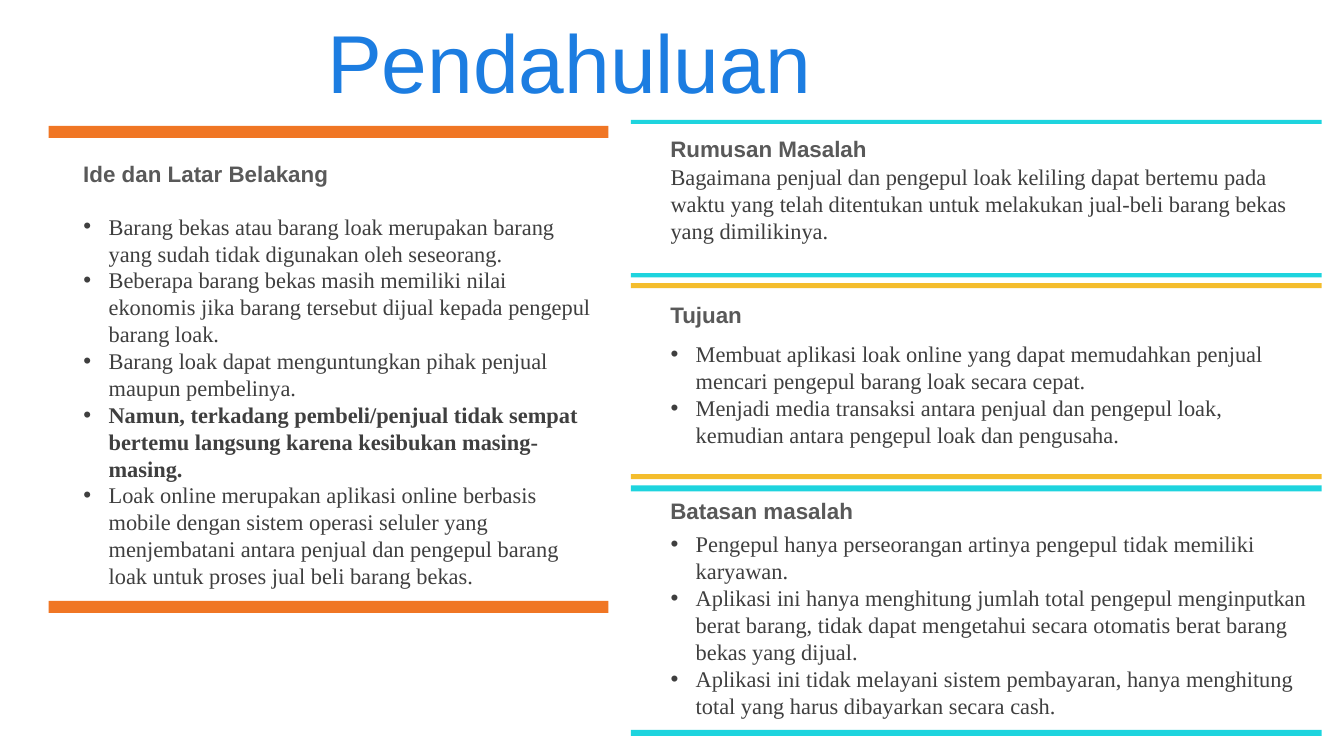
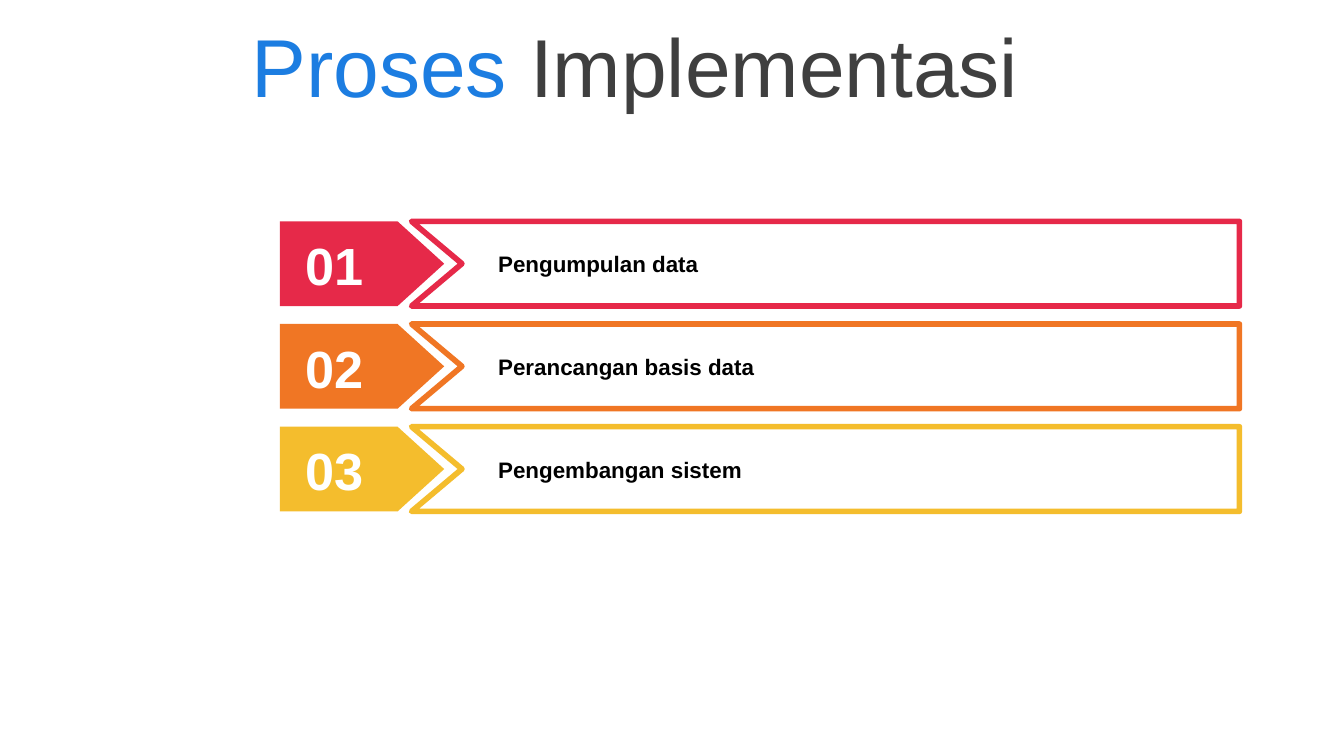
from dataclasses import dataclass

from lxml import etree
from pptx import Presentation
from pptx.dml.color import RGBColor
from pptx.enum.shapes import MSO_SHAPE
from pptx.enum.text import MSO_ANCHOR, MSO_AUTO_SIZE, PP_ALIGN
from pptx.oxml.ns import qn
from pptx.util import Pt

# Shared colours, fonts and constants
BLUE = RGBColor(0x1C, 0x7D, 0xE1)
DARK = RGBColor(0x3F, 0x3F, 0x3F)
GREY = RGBColor(0x59, 0x59, 0x59)
RED = RGBColor(0xE6, 0x29, 0x49)
ORANGE = RGBColor(0xF0, 0x76, 0x24)
YELLOW = RGBColor(0xF4, 0xBD, 0x2D)
CYAN = RGBColor(0x1E, 0xD4, 0xDE)
WHITE = RGBColor(0xFF, 0xFF, 0xFF)
BLACK = RGBColor(0, 0, 0)

SANS = "Arial"
SERIF = "Times New Roman"
RECT = MSO_SHAPE.RECTANGLE
PLATE = MSO_SHAPE.PENTAGON
TOP = MSO_ANCHOR.TOP
MIDDLE = MSO_ANCHOR.MIDDLE
LEFT = PP_ALIGN.LEFT
CENTER = PP_ALIGN.CENTER
FIXED = MSO_AUTO_SIZE.NONE
TITLE_ONLY = 5
COMPARE = 4
INDENT = Pt(13.5)


@dataclass(frozen=True)
class Box:
    left: float
    top: float
    width: float
    height: float

    def points(self) -> list:
        return [Pt(v) for v in (self.left, self.top, self.width, self.height)]


@dataclass(frozen=True)
class Panel:
    head: str
    lines: tuple[str, ...]
    color: RGBColor
    bar: Box          # upper bar
    low: float        # top of the lower bar
    title: Box
    body: Box
    bullets: bool = True
    strong: int = -1  # index of the bold line


@dataclass(frozen=True)
class Step:
    label: str
    color: RGBColor


PANELS = (
    Panel(
        "Ide dan Latar Belakang",
        (
            "Barang bekas atau barang loak merupakan barang yang sudah tidak "
            "digunakan oleh seseorang.",
            "Beberapa barang bekas masih memiliki nilai ekonomis jika barang "
            "tersebut dijual kepada pengepul barang loak.",
            "Barang loak dapat menguntungkan pihak penjual maupun pembelinya.",
            "Namun, terkadang pembeli/penjual tidak sempat bertemu langsung "
            "karena kesibukan masing-masing.",
            "Loak online merupakan aplikasi online berbasis mobile dengan "
            "sistem operasi seluler yang menjembatani antara penjual dan "
            "pengepul barang loak untuk proses jual beli barang bekas.",
        ),
        ORANGE, Box(26, 67.5, 300, 6.4), 322,
        Box(37.5, 82, 288.7, 24.5), Box(37.5, 110.4, 288.7, 203.8), strong=3,
    ),
    Panel(
        "Rumusan Masalah",
        (
            "Bagaimana penjual dan pengepul loak keliling dapat bertemu pada "
            "waktu yang telah ditentukan untuk melakukan jual-beli barang "
            "bekas yang dimilikinya.",
        ),
        CYAN, Box(338, 64.2, 370, 2.2), 146.4,
        Box(352, 69.1, 356.4, 12.2), Box(352, 83.8, 356.4, 60.5), bullets=False,
    ),
    Panel(
        "Tujuan",
        (
            "Membuat aplikasi loak online yang dapat memudahkan penjual "
            "mencari pengepul barang loak secara cepat.",
            "Menjadi media transaksi antara penjual dan pengepul loak, "
            "kemudian antara pengepul loak dan pengusaha.",
        ),
        YELLOW, Box(338, 151.7, 370, 2.7), 254,
        Box(352, 157.9, 356.4, 21), Box(352, 178.6, 356.4, 72),
    ),
    Panel(
        "Batasan masalah",
        (
            "Pengepul hanya perseorangan artinya pengepul tidak memiliki "
            "karyawan.",
            "Aplikasi ini hanya menghitung jumlah total pengepul menginputkan "
            "berat barang, tidak dapat mengetahui secara otomatis berat "
            "barang bekas yang dijual.",
            "Aplikasi ini tidak melayani sistem pembayaran, hanya menghitung "
            "total yang harus dibayarkan secara cash.",
        ),
        CYAN, Box(338, 260, 370, 3.3), 391,
        Box(352, 262.8, 356.4, 26), Box(352, 280.6, 356.4, 104.4),
    ),
)

STEPS = (
    Step("Pengumpulan data", RED),
    Step("Perancangan basis data", ORANGE),
    Step("Pengembangan sistem", YELLOW),
)


def place(shape, box: Box) -> None:
    shape.left, shape.top, shape.width, shape.height = box.points()


def style(font, size: float, name: str, color: RGBColor, bold: bool = False) -> None:
    font.size, font.name, font.bold = Pt(size), name, bold
    font.color.rgb = color


def add_title(slide, box: Box, parts: list[tuple[str, RGBColor]], align) -> None:
    """Fill the title placeholder with coloured parts."""
    title = slide.shapes.title
    place(title, box)
    frame = title.text_frame
    frame.auto_size, frame.vertical_anchor = FIXED, MIDDLE
    para = frame.paragraphs[0]
    para.alignment = align
    for text, color in parts:
        run = para.add_run()
        run.text = text
        style(run.font, 44, SANS, color)


def add_label(slide, box: Box, text: str, size: float, color: RGBColor):
    """Add a bold line of text and return its frame."""
    frame = slide.shapes.add_textbox(*box.points()).text_frame
    frame.word_wrap = True
    para = frame.paragraphs[0]
    para.text = text
    style(para.font, size, SANS, color, True)
    return frame


def add_shape(slide, kind, box: Box, color: RGBColor):
    shape = slide.shapes.add_shape(kind, *box.points())
    shape.shadow.inherit = False
    shape.fill.solid()
    shape.fill.fore_color.rgb = color
    shape.line.fill.background()
    return shape


def set_bullet(para, shown: bool) -> None:
    props = para._p.get_or_add_pPr()
    props.set("marL", str(INDENT if shown else 0))
    props.set("indent", str(-INDENT if shown else 0))
    if shown:
        etree.SubElement(props, qn("a:buFont")).set("typeface", SANS)
        etree.SubElement(props, qn("a:buChar")).set("char", "•")
    else:
        etree.SubElement(props, qn("a:buNone"))


def add_panel(slide, body, panel: Panel) -> None:
    """Draw two bars, a heading and the body text between them."""
    bar = panel.bar
    for top in (bar.top, panel.low):
        add_shape(slide, RECT, Box(bar.left, top, bar.width, bar.height), panel.color)
    add_label(slide, panel.title, panel.head, 12, GREY)
    place(body, panel.body)
    frame = body.text_frame
    frame.auto_size, frame.vertical_anchor = FIXED, TOP
    frame.text = "\n".join(panel.lines)
    for i, para in enumerate(frame.paragraphs):
        set_bullet(para, panel.bullets)
        para.alignment = LEFT
        para.space_before = Pt(0)
        style(para.font, 12, SERIF, DARK, i == panel.strong)


def add_step(slide, num: int, step: Step) -> None:
    """Draw one numbered arrow and its notched frame."""
    high = 45.4
    top = 118.6 + 55 * (num - 1)
    plate = add_shape(slide, PLATE, Box(150, top, 88, high), step.color)
    plate.adjustments[0] = 0.55

    left, right, notch = 220.5, 664, 247.5
    low = top + high
    pen = slide.shapes.build_freeform(Pt(left), Pt(top))
    pen.add_line_segments([
        (Pt(right), Pt(top)), (Pt(right), Pt(low)),
        (Pt(left), Pt(low)), (Pt(notch), Pt(top + high / 2)),
    ])
    frame = pen.convert_to_shape()
    frame.shadow.inherit = False
    frame.fill.solid()
    frame.fill.fore_color.rgb = WHITE
    frame.line.color.rgb = step.color
    frame.line.width = Pt(3)

    text = add_label(slide, Box(156.4, top + 6.2, 47.5, 34), f"{num:02}", 28, WHITE)
    text.margin_top = text.margin_bottom = 0
    text.vertical_anchor = MIDDLE
    add_label(slide, Box(259.8, top + 12, 381.6, 21.6), step.label, 12, BLACK)


def main() -> None:
    deck = Presentation()
    deck.slide_width, deck.slide_height = Pt(720), Pt(405)

    # Introduction
    intro = deck.slides.add_slide(deck.slide_layouts[COMPARE])
    add_title(intro, Box(6, -2.3, 598, 70), [("Pendahuluan", BLUE)], CENTER)
    for i, panel in enumerate(PANELS, 1):
        add_panel(intro, intro.placeholders[i], panel)

    # Implementation steps
    flow = deck.slides.add_slide(deck.slide_layouts[TITLE_ONLY])
    parts = [("Proses", BLUE), (" Implementasi", DARK)]
    add_title(flow, Box(127.5, 0, 592.5, 69.6), parts, LEFT)
    for num, step in enumerate(STEPS, 1):
        add_step(flow, num, step)

    deck.save("out.pptx")


if __name__ == "__main__":
    main()
